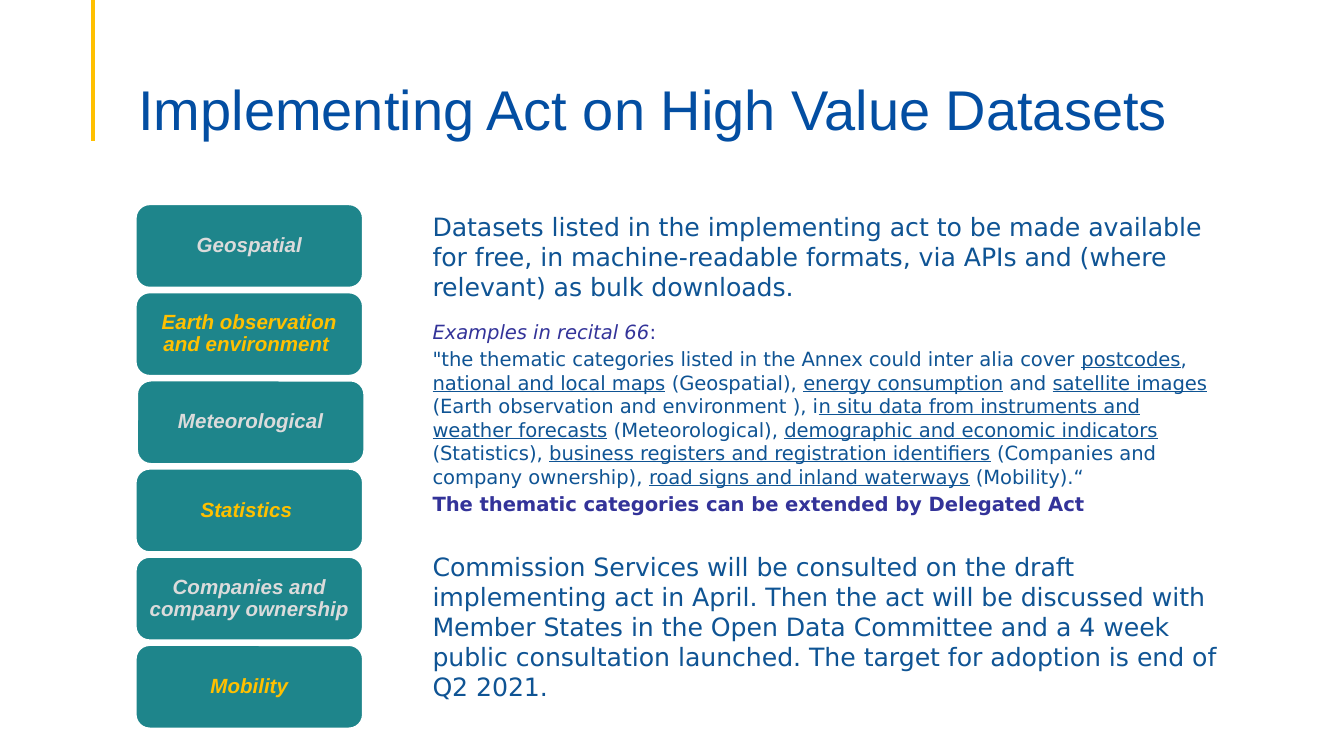
from dataclasses import dataclass

from lxml.etree import SubElement
from pptx import Presentation
from pptx.dml.color import RGBColor
from pptx.enum.shapes import MSO_CONNECTOR, MSO_SHAPE
from pptx.enum.text import MSO_ANCHOR, MSO_AUTO_SIZE, PP_ALIGN
from pptx.oxml.ns import qn
from pptx.util import Inches, Pt


@dataclass(frozen=True)
class Theme:
    heading_font: str = "Arial"
    body_font: str = "DejaVu Sans"
    title_blue: str = "034EA2"
    body_blue: str = "0F5494"
    indigo: str = "333399"
    teal: str = "1E858B"
    gold: str = "FFC000"
    silver: str = "DBDBDB"
    white: str = "FFFFFF"
    title_size: float = 30
    body_size: float = 13.5
    label_size: float = 11
    quote_size: float = 10.5


def write_text(paragraph, text, *, font, size, color, bold=False, italic=False,
               align=PP_ALIGN.LEFT, line_spacing=1.0, space_before=0):
    """Append text to the paragraph; parts between underscores are underlined."""
    paragraph.alignment = align
    paragraph.line_spacing = line_spacing
    paragraph.space_before = Pt(space_before)
    for index, part in enumerate(text.split("_")):
        run = paragraph.add_run()
        run.text = part
        run.font.name = font
        run.font.size = Pt(size)
        run.font.bold = bold
        run.font.italic = italic
        run.font.underline = index % 2 == 1
        run.font.color.rgb = RGBColor.from_string(color)


class SlideBuilder:
    def __init__(self, slide, theme):
        self.slide = slide
        self.theme = theme

    def add_title(self, text, left, top, width, height):
        title = self.slide.shapes.title
        title.left, title.top = Inches(left), Inches(top)
        title.width, title.height = Inches(width), Inches(height)
        frame = title.text_frame
        frame.auto_size = MSO_AUTO_SIZE.NONE
        frame.vertical_anchor = MSO_ANCHOR.BOTTOM
        frame.margin_bottom = 0
        write_text(frame.paragraphs[0], text, font=self.theme.heading_font,
                   size=self.theme.title_size, color=self.theme.title_blue,
                   line_spacing=0.9)

    def add_accent_line(self, left, top, bottom):
        line = self.slide.shapes.add_connector(
            MSO_CONNECTOR.STRAIGHT, Inches(left), Inches(top), Inches(left), Inches(bottom))
        line.line.color.rgb = RGBColor.from_string(self.theme.gold)
        line.line.width = Pt(2.25)
        SubElement(line._element.spPr, qn("a:effectLst"))

    def add_category(self, text, left, top, width, height, color):
        box = self.slide.shapes.add_shape(
            MSO_SHAPE.ROUNDED_RECTANGLE, Inches(left), Inches(top),
            Inches(width), Inches(height))
        box.shadow.inherit = False
        box.fill.solid()
        box.fill.fore_color.rgb = RGBColor.from_string(self.theme.teal)
        box.line.color.rgb = RGBColor.from_string(self.theme.white)
        box.line.width = Pt(1)
        frame = box.text_frame
        frame.word_wrap = True
        frame.vertical_anchor = MSO_ANCHOR.MIDDLE
        frame.margin_left = frame.margin_right = Inches(0.05)
        frame.margin_top = frame.margin_bottom = Inches(0.02)
        write_text(frame.paragraphs[0], text, font=self.theme.heading_font,
                   size=self.theme.label_size, color=color, bold=True, italic=True,
                   align=PP_ALIGN.CENTER, line_spacing=0.9)

    def add_text_box(self, left, top, width, height):
        frame = self.slide.shapes.add_textbox(
            Inches(left), Inches(top), Inches(width), Inches(height)).text_frame
        frame.word_wrap = True
        return frame

    def add_statement(self, text, left, top, width, height):
        frame = self.add_text_box(left, top, width, height)
        write_text(frame.paragraphs[0], text, font=self.theme.body_font,
                   size=self.theme.body_size, color=self.theme.body_blue)

    def add_recital(self, heading, quote, conclusion, left, top, width, height):
        frame = self.add_text_box(left, top, width, height)
        theme = self.theme
        style = dict(font=theme.body_font, size=theme.quote_size, space_before=2)
        first = frame.paragraphs[0]
        write_text(first, heading, color=theme.indigo, italic=True, **style)
        write_text(first, ":", color=theme.indigo, **style)
        write_text(frame.add_paragraph(), quote, color=theme.body_blue, **style)
        write_text(frame.add_paragraph(), conclusion, color=theme.indigo, bold=True, **style)


CATEGORIES = [
    ("Geospatial", 1.01),
    ("Earth observation and environment ", 1.01),
    ("Meteorological", 1.02),
    ("Statistics ", 1.01),
    ("Companies and company ownership", 1.01),
    ("Mobility", 1.01),
]
QUOTE = (
    '"the thematic categories listed in the Annex could inter alia cover _postcodes_, '
    "_national and local maps_ (Geospatial), _energy consumption_ and _satellite images_ "
    "(Earth observation and environment ), i_n situ data from instruments and weather "
    "forecasts_ (Meteorological), _demographic and economic indicators_ (Statistics), "
    "_business registers and registration identifiers_ (Companies and company ownership), "
    "_road signs and inland waterways_ (Mobility).“"
)


def main():
    presentation = Presentation()
    presentation.slide_width = Inches(10)
    presentation.slide_height = presentation.slide_width * 9 // 16
    title_only = presentation.slide_layouts[5]
    theme = Theme()
    builder = SlideBuilder(presentation.slides.add_slide(title_only), theme)

    builder.add_accent_line(0.69, 0, 1.05)
    builder.add_title("Implementing Act on High Value Datasets", 0.93, 0.48, 8.28, 0.58)

    category_top, category_bottom_top = 1.52, 4.8
    category_pitch = (category_bottom_top - category_top) / (len(CATEGORIES) - 1)
    for index, (category, left) in enumerate(CATEGORIES):
        builder.add_category(category, left, category_top + index * category_pitch,
                             1.69, 0.62, (theme.silver, theme.gold)[index % 2])

    text_left = 3.12
    builder.add_recital("Examples in recital 66", QUOTE,
                        "The thematic categories can be extended by Delegated Act",
                        text_left, 2.33, 6.07, 1.59)
    builder.add_statement(
        "Commission Services will be consulted on the draft implementing act in April. "
        "Then the act will be discussed with Member States in the Open Data Committee and "
        "a 4 week public consultation launched. The target for adoption is end of Q2 2021.",
        text_left, 4.05, 6.17, 1.24)
    builder.add_statement(
        "Datasets listed in the implementing act to be made available for free, in "
        "machine-readable formats, via APIs and (where relevant) as bulk downloads.",
        text_left, 1.52, 6.17, 0.78)

    presentation.save("out.pptx")


if __name__ == "__main__":
    main()
